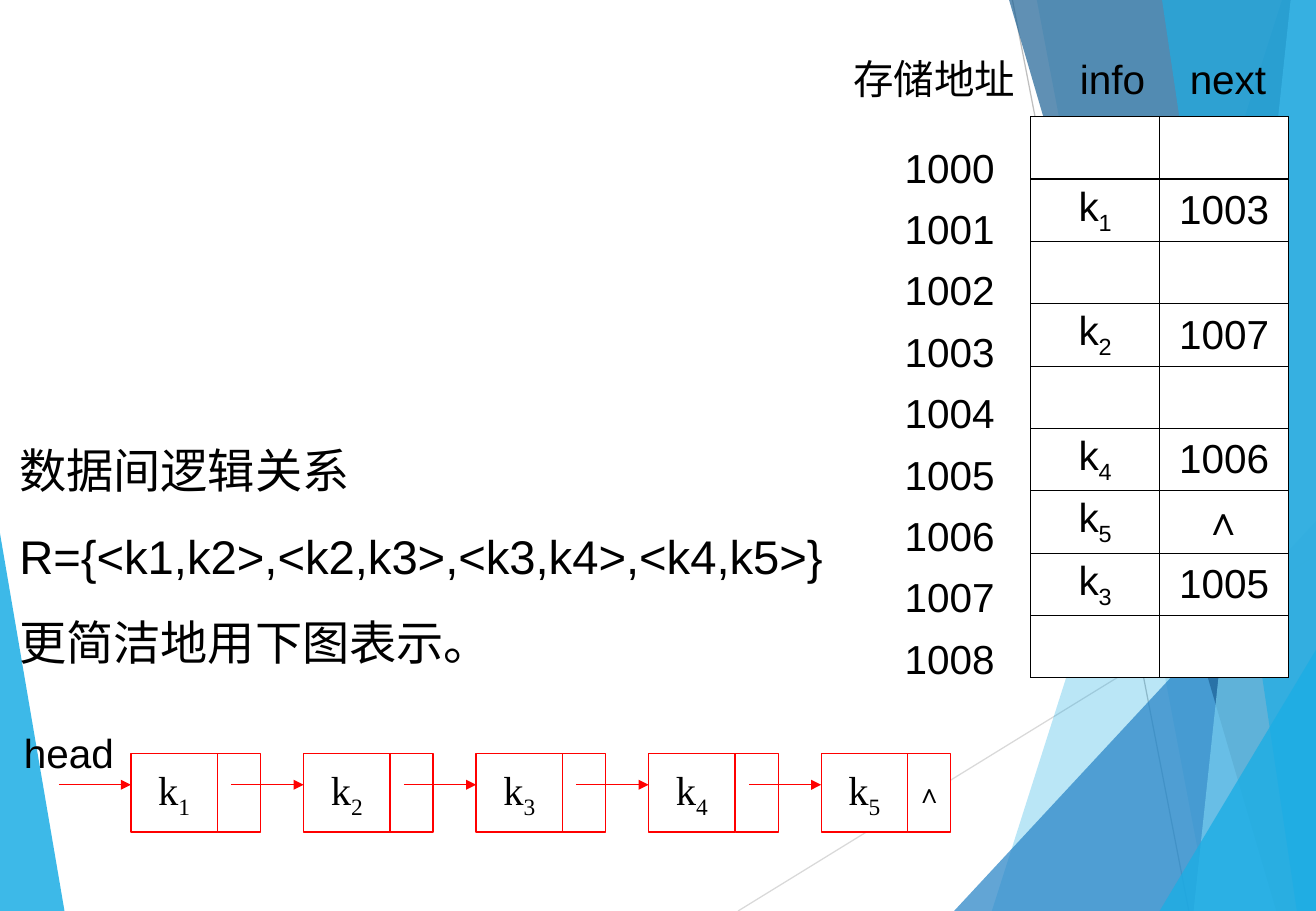
from lxml.etree import SubElement
from pptx import Presentation
from pptx.dml.color import RGBColor
from pptx.enum.shapes import MSO_CONNECTOR, MSO_SHAPE
from pptx.enum.text import MSO_ANCHOR, MSO_AUTO_SIZE, PP_ALIGN
from pptx.oxml import parse_xml
from pptx.oxml.ns import nsdecls, qn
from pptx.util import Cm, Pt

WIDE, HIGH = 27.53, 19.05
HUES = {
    "ink": "000000", "paper": "FFFFFF", "red": "FF0000",
    "pale": "D9D9D9", "grey": "BFBFBF",
    "cyan": "1CADE4", "blue": "2683C6", "navy": "1D6295", "sky": "77CEEF",
}

# Backdrop facets: corner points in cm, hue, opacity in percent
LEFT = ([(0, 11.15), (1.35, HIGH), (0, HIGH)], "cyan", 85)
RIGHT = [
    ([(26.82, 0), (20.75, HIGH), (WIDE, HIGH), (WIDE, 0)], "cyan", 30),
    ([(21.69, 0), (25.3, HIGH), (WIDE, HIGH), (WIDE, 0)], "cyan", 20),
    ([(19.96, HIGH), (WIDE, 10.9), (WIDE, HIGH)], "blue", 72),
    ([(21.11, 0), (26.7, HIGH), (WIDE, HIGH), (WIDE, 0)], "navy", 70),
    ([(27, 0), (24.97, HIGH), (WIDE, HIGH), (WIDE, 0)], "sky", 70),
    ([(24.31, 0), (27.13, HIGH), (WIDE, HIGH), (WIDE, 0)], "cyan", 65),
    ([(24.26, HIGH), (WIDE, 13.59), (WIDE, HIGH)], "cyan", 80),
]

CELLS = [("", ""), ("k1", "1003"), ("", ""), ("k2", "1007"), ("", ""),
         ("k4", "1006"), ("k5", "∧"), ("k3", "1005"), ("", "")]
FACTS = ["数据间逻辑关系",
         "R={<k1,k2>,<k2,k3>,<k3,k4>,<k4,k5>}",
         "更简洁地用下图表示。"]


def hue(name):
    return RGBColor.from_string(HUES[name])


def apply(thing, form):
    for key, value in form.items():
        setattr(thing, key, value)


def place(shape, *box):
    apply(shape, dict(zip(("left", "top", "width", "height"), map(Cm, box))))


def write(para, text, size=24, face="Arial", **form):
    """Fill a paragraph; a digit after k becomes a subscript."""
    apply(para, form)
    is_key = len(text) == 2 and text[0] == "k"
    for part in (text if is_key else [text]):
        run = para.add_run()
        run.text = part
        apply(run.font, {"size": Pt(size), "name": face})
        run.font.color.rgb = hue("ink")
        if is_key and part != "k":
            run.font._element.set("baseline", "-25000")


def facet(slide, points, name, solid):
    spots = [(Cm(x), Cm(y)) for x, y in points]
    path = slide.shapes.build_freeform(*spots[0])
    path.add_line_segments(spots[1:], close=True)
    shape = path.convert_to_shape()
    shape.shadow.inherit = False
    shape.fill.solid()
    shape.fill.fore_color.rgb = hue(name)
    shape.line.fill.background()
    tint = shape.element.spPr.find(".//" + qn("a:srgbClr"))
    SubElement(tint, qn("a:alpha"), val=str(solid * 1000))


def line(slide, ends, name, arrow=False):
    link = slide.shapes.add_connector(MSO_CONNECTOR.STRAIGHT, *map(Cm, ends))
    link.line.width = Pt(0.75)
    link.line.color.rgb = hue(name)
    if arrow:
        SubElement(link.line._get_or_add_ln(), qn("a:tailEnd"), type="triangle")
    SubElement(link.element.spPr, qn("a:effectLst"))


def block(slide, box, text="", size=24):
    shape = slide.shapes.add_shape(MSO_SHAPE.RECTANGLE, *map(Cm, box))
    shape.shadow.inherit = False
    shape.fill.solid()
    shape.fill.fore_color.rgb = hue("paper")
    shape.line.color.rgb = hue("red")
    shape.line.width = Pt(0.75)
    frame = shape.text_frame
    apply(frame, {"word_wrap": False, "vertical_anchor": MSO_ANCHOR.MIDDLE})
    if text:
        write(frame.paragraphs[0], text, size, "Times New Roman",
              alignment=PP_ALIGN.CENTER)


def label(slide, box, text, tabs=()):
    shape = slide.shapes.add_textbox(*map(Cm, box))
    shape.text_frame.word_wrap = True
    para = shape.text_frame.paragraphs[0]
    write(para, text)
    if tabs:
        stops = SubElement(para._p.get_or_add_pPr(), qn("a:tabLst"))
        for stop in tabs:
            SubElement(stops, qn("a:tab"), pos=str(Cm(stop)), algn="l")


def listing(slide, holder, box, lines, size, **form):
    place(holder, *box)
    frame = holder.text_frame
    apply(frame, {"word_wrap": True, "auto_size": MSO_AUTO_SIZE.NONE,
                  "vertical_anchor": MSO_ANCHOR.TOP})
    for num, text in enumerate(lines):
        para = frame.add_paragraph() if num else frame.paragraphs[0]
        write(para, text, size, **form)
        props = para._p.get_or_add_pPr()
        props.set("marL", "0")
        props.set("indent", "0")
        SubElement(props, qn("a:buNone"))
    # Bring the list in front of the backdrop
    slide.shapes.element.append(holder.element)


def border(cell):
    props = cell._tc.get_or_add_tcPr()
    for num, side in enumerate(("lnL", "lnR", "lnT", "lnB")):
        props.insert(num, parse_xml(
            f'<a:{side} {nsdecls("a")} w="9525"><a:solidFill>'
            f'<a:srgbClr val="{HUES["ink"]}"/></a:solidFill></a:{side}>'))


def memory(slide, box):
    rows = len(CELLS)
    table = slide.shapes.add_table(rows, 2, *map(Cm, box)).table
    apply(table, {"first_row": False, "horz_banding": False})
    for column in table.columns:
        column.width = Cm(box[2] / 2)
    for row, texts in zip(table.rows, CELLS):
        row.height = Cm(box[3] / rows)
        for cell, text in zip(row.cells, texts):
            apply(cell, {"vertical_anchor": MSO_ANCHOR.MIDDLE,
                         "margin_top": 0, "margin_bottom": 0})
            cell.fill.solid()
            cell.fill.fore_color.rgb = hue("paper")
            border(cell)
            if text:
                face = "Times New Roman" if text == "∧" else "Arial"
                write(cell.text_frame.paragraphs[0], text, face=face,
                      alignment=PP_ALIGN.CENTER)


def chain(slide, count=5):
    left, top, step, tall = 2.74, 15.75, 3.61, 1.65
    for num in range(count):
        x = left + num * step
        block(slide, (x, top, 1.81, tall), f"k{num + 1}")
        block(slide, (x + 1.81, top, 0.9, tall),
              "∧" if num == count - 1 else "", 16)
        line(slide, (x - 1.51, 16.41, x, 16.41), "red", arrow=True)


def main():
    deck = Presentation()
    apply(deck, {"slide_width": Cm(WIDE), "slide_height": Cm(HIGH)})
    slide = deck.slides.add_slide(deck.slide_layouts[3])
    title, facts, places = slide.placeholders
    slide.shapes.element.remove(title.element)

    # Backdrop
    facet(slide, *LEFT)
    line(slide, (15.44, HIGH, WIDE, 11.61), "pale")
    line(slide, (21.18, 0, 24.87, HIGH), "grey")
    for shard in RIGHT:
        facet(slide, *shard)

    # Logical relation
    listing(slide, facts, (0.15, 9.09, 24.3, 5.05), FACTS, 28,
            space_before=Pt(17.5), alignment=PP_ALIGN.JUSTIFY)

    # Linked list
    chain(slide)
    label(slide, (0.25, 15.09, 2.72, 1.27), "head")

    # Memory layout
    listing(slide, places, (18.67, 2.97, 3.02, 11.46),
            [str(1000 + num) for num in range(len(CELLS))], 24,
            space_before=Pt(10.5), line_spacing=0.9)
    label(slide, (17.6, 1, 9.9, 1.27), "存储地址\tinfo\tnext", (4.74, 7.04))
    memory(slide, (21.56, 2.44, 5.4, 11.74))

    deck.save("out.pptx")


if __name__ == "__main__":
    main()
